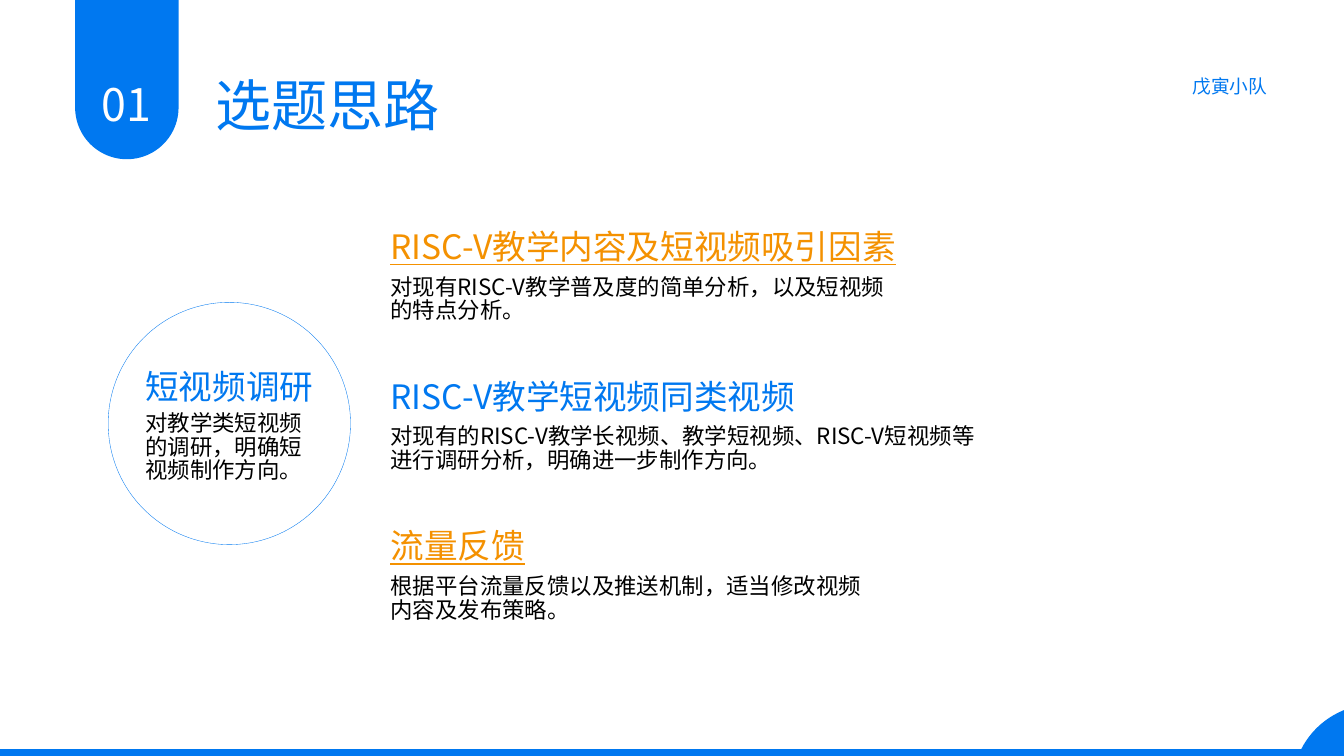
from dataclasses import dataclass

from lxml import etree
from pptx import Presentation
from pptx import util as u
from pptx.dml.color import RGBColor
from pptx.enum import shapes, text
from pptx.oxml.ns import qn

BLUE, ORANGE, BLACK, WHITE = "0078F0", "F49100", "000000", "FFFFFF"
DISPLAY_FONT, BODY_FONT = "Noto Sans CJK JP", "Noto Sans CJK SC"
LEFT, CENTER, RIGHT = (text.PP_ALIGN.LEFT, text.PP_ALIGN.CENTER,
                       text.PP_ALIGN.RIGHT)


@dataclass
class Area:
    """A rectangle in centimetres."""
    left: float
    top: float
    width: float
    height: float

    def lengths(self):
        return [u.Cm(v) for v in (self.left, self.top, self.width, self.height)]


@dataclass
class Style:
    size: float
    leading: float
    color: str
    font: str = DISPLAY_FONT
    align: text.PP_ALIGN = LEFT
    underline: bool = False


@dataclass
class Topic:
    heading: str
    heading_width: float
    detail: str
    detail_width: float
    color: str
    linked: bool


def rgb(color: str) -> RGBColor:
    return RGBColor.from_string(color)


def write(box, words: str, style: Style) -> None:
    frame = box.text_frame
    frame.text = words
    frame.word_wrap = True
    frame.auto_size = text.MSO_AUTO_SIZE.NONE
    frame.vertical_anchor = text.MSO_ANCHOR.TOP
    frame.margin_left = frame.margin_right = 0
    frame.margin_top = frame.margin_bottom = 0
    para = frame.paragraphs[0]
    para.alignment = style.align
    para.line_spacing = u.Pt(style.leading)
    para.space_before = u.Pt(0)
    span = para.runs[0]
    span.font.size = u.Pt(style.size)
    span.font.color.rgb = rgb(style.color)
    span.font.underline = style.underline
    span.font.name = style.font
    # East Asian glyphs take their own typeface element
    etree.SubElement(span.font._element, qn("a:ea"), typeface=style.font)


def add_text(page, area: Area, words: str, style: Style) -> None:
    write(page.shapes.add_textbox(*area.lengths()), words, style)


def add_shape(page, kind, area: Area, fill: str, line: str = ""):
    shape = page.shapes.add_shape(kind, *area.lengths())
    shape.shadow.inherit = False
    shape.fill.solid()
    shape.fill.fore_color.rgb = rgb(fill)
    if line:
        shape.line.color.rgb = rgb(line)
        shape.line.width = u.Pt(0.37)
    else:
        shape.line.fill.background()
    return shape


def add_topic(page, topic: Topic, top: float) -> None:
    left = 14.76
    add_text(page, Area(left, top, topic.heading_width, 1.75), topic.heading,
             Style(36, 50.4, topic.color, underline=topic.linked))
    add_text(page, Area(left, top + 2.16, topic.detail_width, 1.78),
             topic.detail, BODY)


BODY = Style(24, 25.2, BLACK, BODY_FONT)
TOPICS = [
    Topic("RISC-V教学内容及短视频吸引因素", 25.27,
          "对现有RISC-V教学普及度的简单分析，以及短视频的特点分析。", 19.48,
          ORANGE, True),
    Topic("RISC-V教学短视频同类视频", 25.93,
          "对现有的RISC-V教学长视频、教学短视频、RISC-V短视频等进行调研分析，"
          "明确进一步制作方向。", 22.56, BLUE, False),
    Topic("流量反馈", 9.09,
          "根据平台流量反馈以及推送机制，适当修改视频内容及发布策略。", 18.52,
          ORANGE, True),
]


def main() -> None:
    deck = Presentation()
    deck.slide_width, deck.slide_height = u.Cm(50.8), u.Cm(28.58)
    page = deck.slides.add_slide(deck.slide_layouts[5])
    oval = shapes.MSO_SHAPE.OVAL

    # Footer bar and corner circle
    add_shape(page, oval, Area(48.84, 26.62, 6.25, 6.25), BLUE)
    add_shape(page, shapes.MSO_SHAPE.RECTANGLE,
              Area(0, 28.32, 50.17, 0.26), BLUE)

    # Header: number tab, title, team name
    tab = add_shape(page, shapes.MSO_SHAPE.ROUNDED_RECTANGLE,
                    Area(2.84, -2.57, 3.91, 8.59), BLUE)
    tab.adjustments[0] = 0.5
    title = page.shapes.title
    title.left, title.top, title.width, title.height = Area(
        8.15, 2.26, 33.88, 2.77).lengths()
    write(title, "选题思路", Style(60, 84, BLUE))
    add_text(page, Area(40.69, 2.82, 7.21, 0.86), "戊寅小队",
             Style(20, 24, BLUE, align=RIGHT))
    add_text(page, Area(2.84, 2.57, 3.91, 2.31), "01",
             Style(48, 67.2, WHITE, align=CENTER))

    # Research circle
    add_shape(page, oval, Area(4.09, 11.43, 9.16, 9.16), WHITE, BLUE)
    add_text(page, Area(5.21, 13.59, 6.91, 1.75), "短视频调研",
             Style(36, 50.4, BLUE, align=CENTER))
    add_text(page, Area(5.49, 15.6, 6.32, 2.67),
             "对教学类短视频的调研，明确短视频制作方向。", BODY)

    # Topics at an even pitch
    for row, topic in enumerate(TOPICS):
        add_topic(page, topic, 8.28 + 5.66 * row)

    deck.save("out.pptx")


if __name__ == "__main__":
    main()
